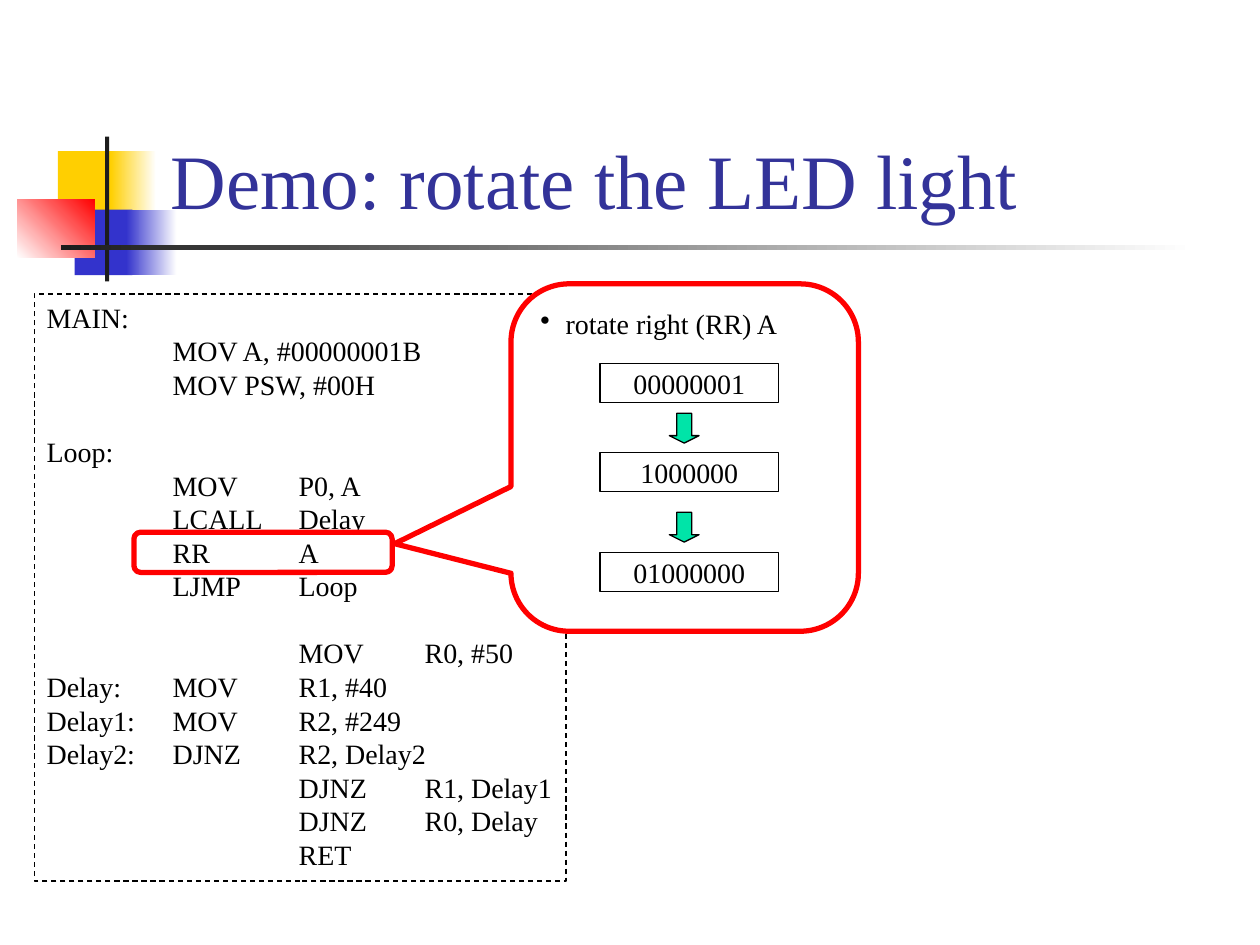
from pptx import Presentation
from pptx.util import Pt
from pptx.dml.color import RGBColor
from pptx.enum.dml import MSO_LINE
from pptx.enum.shapes import MSO_SHAPE
from pptx.enum.text import MSO_ANCHOR, PP_ALIGN
from lxml.etree import SubElement
from pptx.oxml.ns import qn

FONT = "Times New Roman"
LEAD = 19.2
CODE = """MAIN:
\tMOV A, #00000001B
\tMOV PSW, #00H

Loop:
\tMOV \tP0, A
\tLCALL\tDelay
\tRR\tA
\tLJMP\tLoop

\t\tMOV\tR0, #50
Delay:\tMOV\tR1, #40
Delay1:\tMOV\tR2, #249
Delay2:\tDJNZ\tR2, Delay2
\t\tDJNZ\tR1, Delay1
\t\tDJNZ\tR0, Delay
\t\tRET"""


def color(code):
    return RGBColor.from_string(code)


def shape(slide, kind, box, fill=None, line=None, width=0.75):
    item = slide.shapes.add_shape(kind, *map(Pt, box))
    item.shadow.inherit = False
    if fill:
        item.fill.solid()
        item.fill.fore_color.rgb = color(fill)
    else:
        item.fill.background()
    if line:
        item.line.color.rgb = color(line)
        item.line.width = Pt(width)
    else:
        item.line.fill.background()
    return item


def fade(item, first, last, angle=0):
    item.fill.gradient()
    item.fill.gradient_angle = angle
    for stop, code, place in zip(item.fill.gradient_stops, (first, last), (0, 1)):
        stop.color.rgb = color(code)
        stop.position = place


def style(part, size=16, code="000000"):
    for run in part.runs:
        run.font.name = FONT
        run.font.size = Pt(size)
        run.font.color.rgb = color(code)


def tabs(para, gap, count):
    stops = SubElement(para._p.get_or_add_pPr(), qn("a:tabLst"))
    for step in range(1, count + 1):
        stop = SubElement(stops, qn("a:tab"))
        stop.set("pos", str(Pt(gap * step)))
        stop.set("algn", "l")


def motif(slide, box):
    left, top, width, height = box
    parts = [
        (23.3, 8.4, 34.6, 37.4, "FFCF01", None, 0),
        (53.5, 8.4, 25.9, 37.4, "FFCF01", "FFFFFF", 0),
        (32.8, 41.8, 33.1, 37.4, "3333CC", None, 0),
        (62.3, 41.8, 28.8, 37.4, "3333CC", "FFFFFF", 0),
        (0, 35.8, 44.4, 33.4, "FFFFFF", "FF0000", 45),
        (50.2, 0, 2.4, height, "1C1C1C", None, 0),
        (25, 62.2, width - 25, 2.6, "1C1C1C", "FFFFFF", 0),
    ]
    for x, y, wide, high, first, last, angle in parts:
        item = shape(slide, MSO_SHAPE.RECTANGLE, (left + x, top + y, wide, high), first)
        if last:
            fade(item, first, last, angle)


def title(slide, box, text):
    head = slide.shapes.title
    head.left, head.top, head.width, head.height = map(Pt, box)
    frame = head.text_frame
    frame.text = text
    frame.vertical_anchor = MSO_ANCHOR.BOTTOM
    frame.paragraphs[0].alignment = PP_ALIGN.LEFT
    style(frame.paragraphs[0], 44, "333399")


def listing(slide, box):
    left, top, width, height = box
    item = shape(slide, MSO_SHAPE.RECTANGLE, box, line="000000")
    item.line.dash_style = MSO_LINE.DASH
    frame = item.text_frame
    frame.word_wrap = True
    frame.vertical_anchor = MSO_ANCHOR.TOP
    frame.margin_right = 0
    blocks = [block.split("\n") for block in CODE.split("\n\n")]
    frame.text = "\n".join(line for block in blocks for line in block)
    starts = (len(blocks[0]), len(blocks[0]) + len(blocks[1]))
    for row, para in enumerate(frame.paragraphs):
        tabs(para, 72, 3)
        para.alignment = PP_ALIGN.LEFT
        para.line_spacing = Pt(LEAD)
        if row in starts:
            para.space_before = Pt(LEAD)
        style(para)
    mark = (left + 56.9, top + 136.1, 147.6, 23)
    shape(slide, MSO_SHAPE.ROUNDED_RECTANGLE, mark, line="FF0000", width=3)


def callout(slide, box):
    left, top, width, height = box
    bubble = shape(slide, MSO_SHAPE.ROUNDED_RECTANGULAR_CALLOUT, box, "FFFFFF", "FF0000", 3)
    for spot, value in enumerate((-0.835, 0.248, 0.167)):
        bubble.adjustments[spot] = value
    frame = bubble.text_frame
    frame.word_wrap = True
    frame.vertical_anchor = MSO_ANCHOR.TOP
    frame.text = "rotate right (RR) A"
    para = frame.paragraphs[0]
    para.alignment = PP_ALIGN.LEFT
    props = para._p.get_or_add_pPr()
    props.set("marL", str(Pt(14.4)))
    props.set("indent", str(Pt(-14.4)))
    SubElement(props, qn("a:buChar")).set("char", "•")
    style(para)
    for text, y in (("00000001", 45.4), ("1000000", 96.5), ("01000000", 153.4)):
        cell = shape(slide, MSO_SHAPE.RECTANGLE, (left + 50.8, top + y, 102.2, 22.4), line="000000")
        frame = cell.text_frame
        frame.text = text
        frame.word_wrap = False
        frame.vertical_anchor = MSO_ANCHOR.MIDDLE
        frame.paragraphs[0].alignment = PP_ALIGN.CENTER
        style(frame.paragraphs[0])
    for y in (74, 130.6):
        arrow = shape(slide, MSO_SHAPE.DOWN_ARROW, (left + 90.5, top + y, 17, 17), "00E4A8", "000000")
        arrow.adjustments[0] = 0.5
        arrow.adjustments[1] = 0.25


def main():
    deck = Presentation()
    deck.slide_width, deck.slide_height = Pt(720), Pt(540)
    slide = deck.slides.add_slide(deck.slide_layouts[5])
    motif(slide, (9.8, 78, 673, 82.8))
    title(slide, (90.5, 17, 613.4, 115.2), "Demo: rotate the LED light")
    listing(slide, (19.6, 168, 303.8, 335.5))
    callout(slide, (292, 162.2, 198.5, 198.5))
    deck.save("out.pptx")


if __name__ == "__main__":
    main()
